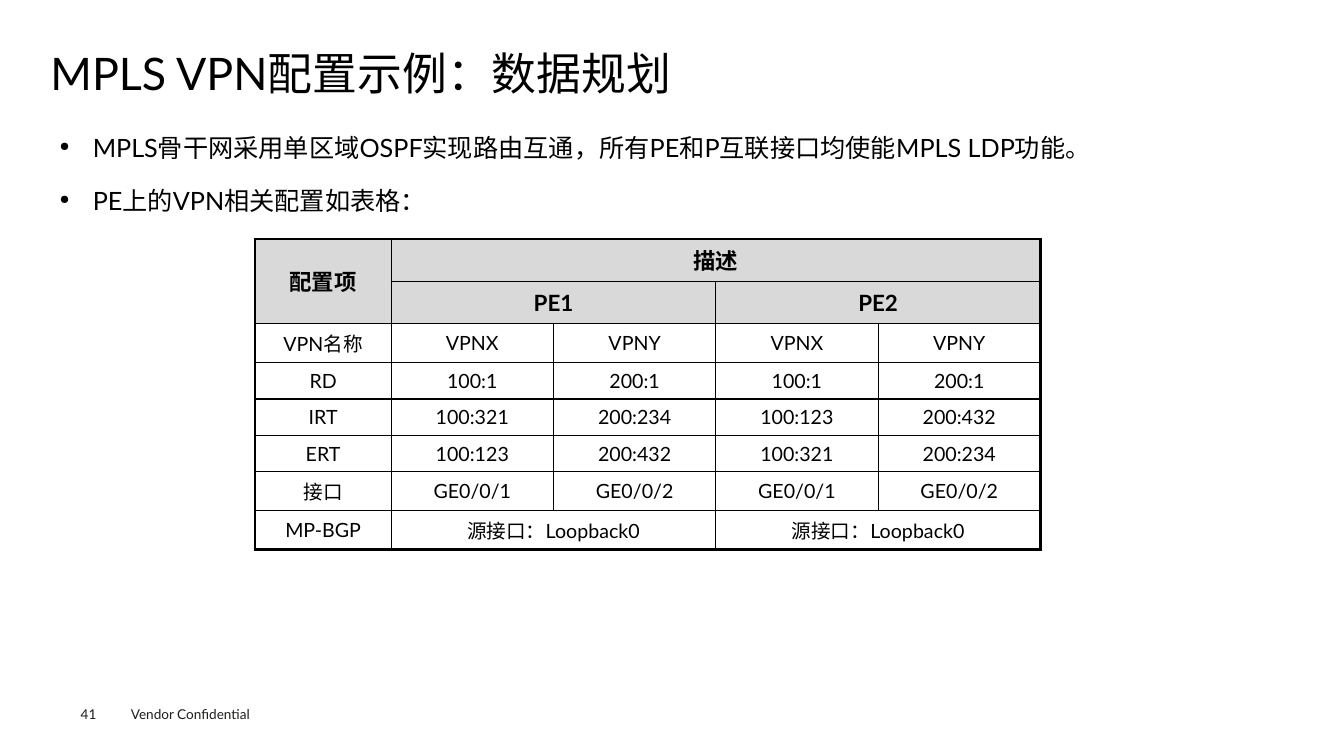
from dataclasses import dataclass

from lxml.etree import SubElement
from pptx import Presentation
from pptx.dml.color import RGBColor
from pptx.enum.text import MSO_ANCHOR as Anchor, PP_ALIGN as Align
from pptx.oxml.ns import qn
from pptx.slide import Slide
from pptx.table import Table, _Cell as Cell
from pptx.text.text import TextFrame, _Paragraph as Paragraph
from pptx.util import Inches, Pt

FONT = "Lato"
BLACK = "000000"
FOOTER_COLOR = "1D1D1B"
HEADER_FILL = "D9D9D9"
OUTER_LINE = 2.25
INNER_LINE = 1
COLUMN_WIDTHS = [1.35] + [1.61] * 4
ROW_HEIGHTS = [0.42, 0.42, 0.39, 0.36, 0.36, 0.36, 0.39, 0.38]


@dataclass(frozen=True)
class TextBlock:
    lines: list[str]
    area: tuple[float, float, float, float]
    size: float
    color: str = BLACK
    inset: tuple[float, float] = (0, 0)
    anchor: Anchor = Anchor.TOP
    align: Align = Align.LEFT
    line_spacing: float = 1
    space_before: float = 0
    bullet: bool = False


@dataclass(frozen=True)
class Entry:
    text: str
    row: int
    column: int
    rows: int = 1
    columns: int = 1
    header: bool = False


BLOCKS = [
    TextBlock(["Vendor Confidential"], (1.2, 6.95, 1.6, 0.27), 9.7,
              FOOTER_COLOR, inset=(0.1, 0.05)),
    TextBlock(["41"], (0.8, 7, 0.55, 0.16), 9.7, FOOTER_COLOR),
    TextBlock(["MPLS VPN配置示例：数据规划"], (0.5, 0.49, 12.35, 0.53), 32,
              anchor=Anchor.MIDDLE, line_spacing=0.9),
    TextBlock(["MPLS骨干网采用单区域OSPF实现路由互通，所有PE和P互联接口均使能MPLS LDP功能。",
               "PE上的VPN相关配置如表格："],
              (0.5, 1.15, 12.35, 5.34), 18, inset=(0.09, 0.04),
              align=Align.JUSTIFY, line_spacing=1.4, space_before=7.9, bullet=True),
]

HEADERS = [
    Entry("配置项", 0, 0, rows=2, header=True),
    Entry("描述", 0, 1, columns=4, header=True),
    Entry("PE1", 1, 1, columns=2, header=True),
    Entry("PE2", 1, 3, columns=2, header=True),
]
SETTINGS = [
    ["VPN名称", "VPNX", "VPNY", "VPNX", "VPNY"],
    ["RD", "100:1", "200:1", "100:1", "200:1"],
    ["IRT", "100:321", "200:234", "100:123", "200:432"],
    ["ERT", "100:123", "200:432", "100:321", "200:234"],
    ["接口", "GE0/0/1", "GE0/0/2", "GE0/0/1", "GE0/0/2"],
]
BGP_ENTRIES = [
    Entry("MP-BGP", 7, 0),
    Entry("源接口：Loopback0", 7, 1, columns=2),
    Entry("源接口：Loopback0", 7, 3, columns=2),
]


def rgb(color: str) -> RGBColor:
    return RGBColor.from_string(color)


def write(para: Paragraph, text: str, *, size: float, color: str = BLACK,
          bold: bool = False, align: Align = Align.LEFT) -> None:
    para.alignment = align
    span = para.add_run()
    span.text = text
    font = span.font
    font.name, font.size, font.bold = FONT, Pt(size), bold
    font.color.rgb = rgb(color)


def add_bullet(para: Paragraph) -> None:
    props = para._p.get_or_add_pPr()
    props.set("marL", str(Inches(0.33)))
    props.set("indent", str(-Inches(0.33)))
    SubElement(props, qn("a:buSzPct"), val="50000")
    SubElement(props, qn("a:buChar"), char="●")


def set_insets(frame: TextFrame, inset: tuple[float, float]) -> None:
    frame.margin_left = frame.margin_right = Inches(inset[0])
    frame.margin_top = frame.margin_bottom = Inches(inset[1])


def add_block(page: Slide, block: TextBlock) -> None:
    box = page.shapes.add_textbox(*map(Inches, block.area))
    frame = box.text_frame
    frame.word_wrap = True
    frame.vertical_anchor = block.anchor
    set_insets(frame, block.inset)
    for index, line in enumerate(block.lines):
        para = frame.add_paragraph() if index else frame.paragraphs[0]
        if block.bullet:
            add_bullet(para)
        para.line_spacing = block.line_spacing
        if index:
            para.space_before = Pt(block.space_before)
        write(para, line, size=block.size, color=block.color, align=block.align)


def draw_borders(cell: Cell, row: int, column: int, rows: int, columns: int) -> None:
    outer_sides = {
        "L": column == 0,
        "R": column + columns == len(COLUMN_WIDTHS),
        "T": row == 0,
        "B": row + rows == len(ROW_HEIGHTS),
    }
    props = cell._tc.get_or_add_tcPr()
    for side, outer in outer_sides.items():
        width = Pt(OUTER_LINE if outer else INNER_LINE)
        line = SubElement(props, qn(f"a:ln{side}"), w=str(width))
        fill = SubElement(line, qn("a:solidFill"))
        SubElement(fill, qn("a:srgbClr"), val=BLACK)


def fill_entry(table: Table, entry: Entry) -> None:
    cell = table.cell(entry.row, entry.column)
    if entry.rows * entry.columns > 1:
        cell.merge(table.cell(entry.row + entry.rows - 1, entry.column + entry.columns - 1))
    cell.vertical_anchor = Anchor.MIDDLE
    write(cell.text_frame.paragraphs[0], entry.text, size=16 if entry.header else 14,
          bold=entry.header, align=Align.CENTER)


def add_plan(page: Slide, entries: list[Entry]) -> None:
    table = page.shapes.add_table(
        len(ROW_HEIGHTS), len(COLUMN_WIDTHS), Inches(2.53), Inches(2.37),
        Inches(sum(COLUMN_WIDTHS)), Inches(sum(ROW_HEIGHTS))).table
    table.first_row = table.horz_banding = False
    for column, width in zip(table.columns, COLUMN_WIDTHS):
        column.width = Inches(width)
    for row, height in zip(table.rows, ROW_HEIGHTS):
        row.height = Inches(height)
    for entry in entries:
        fill_entry(table, entry)
    for row in range(len(ROW_HEIGHTS)):
        for column in range(len(COLUMN_WIDTHS)):
            cell = table.cell(row, column)
            draw_borders(cell, row, column, cell.span_height, cell.span_width)
            if row < 2:
                cell.fill.solid()
                cell.fill.fore_color.rgb = rgb(HEADER_FILL)
            else:
                cell.fill.background()


def main() -> None:
    deck = Presentation()
    deck.slide_width, deck.slide_height = Inches(13.33), Inches(7.5)
    page = deck.slides.add_slide(deck.slide_layouts[6])
    for block in BLOCKS:
        add_block(page, block)
    settings = [Entry(text, row, column)
                for row, texts in enumerate(SETTINGS, start=2)
                for column, text in enumerate(texts)]
    add_plan(page, HEADERS + settings + BGP_ENTRIES)
    deck.save("out.pptx")


if __name__ == "__main__":
    main()
